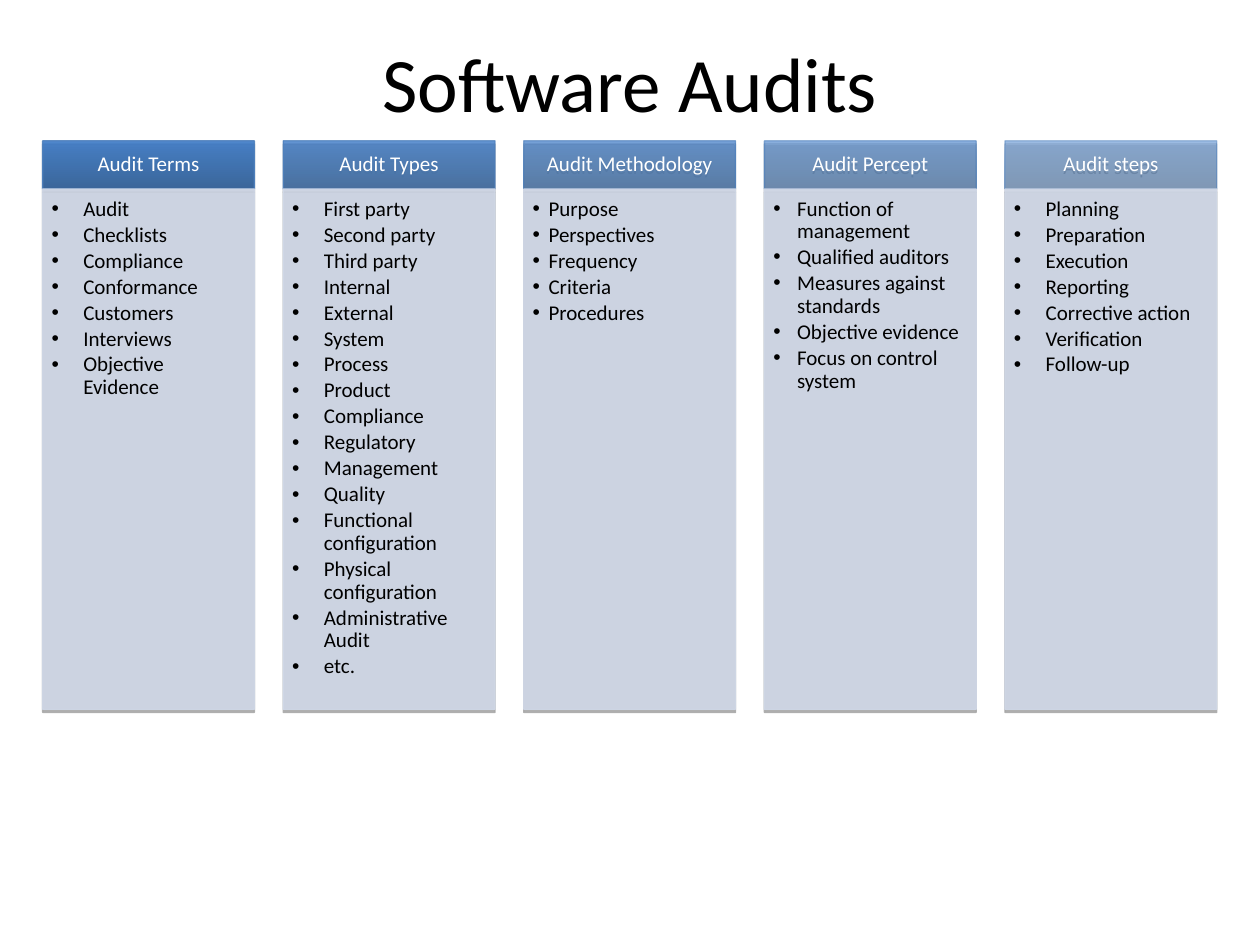
import dataclasses

import pptx
import pptx.dml.color
import pptx.enum.shapes
import pptx.enum.text
import pptx.oxml
import pptx.oxml.ns
import pptx.util
from pptx.util import Cm

RGB = pptx.dml.color.RGBColor
ANCHOR = pptx.enum.text.MSO_ANCHOR
ALIGN = pptx.enum.text.PP_ALIGN


@dataclasses.dataclass(frozen=True)
class Theme:
    font: str = "Calibri"
    title_size: int = 44
    text_size: int = 12
    text: RGB = RGB(0, 0, 0)
    header_text: RGB = RGB(255, 255, 255)
    header_top: RGB = RGB(0x3C, 0x7A, 0xC7)
    header_bottom: RGB = RGB(0x2E, 0x5F, 0x99)
    header_line: RGB = RGB(0x4F, 0x81, 0xBD)
    panel: RGB = RGB(0xD0, 0xD8, 0xE7)


THEME = Theme()

LEFT, TOP = 0.86, 2.84
COLUMN_WIDTH, COLUMN_PITCH = 4.27, 4.85
HEADER_HEIGHT, PANEL_HEIGHT = 0.97, 10.49

# Heading, hanging indent in cm, items
COLUMNS = [
    ("Audit Terms", 0.64, [
        "Audit", "Checklists", "Compliance", "Conformance", "Customers",
        "Interviews", "Objective Evidence"]),
    ("Audit Types", 0.64, [
        "First party", "Second party", "Third party", "Internal", "External",
        "System", "Process", "Product", "Compliance", "Regulatory",
        "Management", "Quality", "Functional configuration",
        "Physical configuration", "Administrative Audit", "etc."]),
    ("Audit Methodology", 0.32, [
        "Purpose", "Perspectives", "Frequency", "Criteria", "Procedures"]),
    ("Audit Percept", 0.48, [
        "Function of management", "Qualified auditors",
        "Measures against standards", "Objective evidence",
        "Focus on control system"]),
    ("Audit steps", 0.64, [
        "Planning", "Preparation", "Execution", "Reporting",
        "Corrective action", "Verification", "Follow-up"]),
]


def add_xml(parent, markup):
    namespace = pptx.oxml.ns.nsdecls("a")
    tag, rest = markup.split(" ", 1)
    parent.append(pptx.oxml.parse_xml(f"{tag} {namespace} {rest}"))


def set_font(paragraph, size, color):
    paragraph.font.name = THEME.font
    paragraph.font.size = pptx.util.Pt(size)
    paragraph.font.color.rgb = color


def set_opacity(shape, percent):
    """Make the fill and line colours of the shape partly transparent."""
    for color in shape.element.spPr.iter(pptx.oxml.ns.qn("a:srgbClr")):
        add_xml(color, f'<a:alpha val="{percent * 1000}"/>')


def add_drop_shadow(shape):
    shape.shadow.inherit = False
    effects = shape.element.spPr.find(pptx.oxml.ns.qn("a:effectLst"))
    add_xml(effects, '<a:outerShdw blurRad="0" dist="23000" dir="5400000" rotWithShape="0">'
                     '<a:srgbClr val="000000"><a:alpha val="35000"/></a:srgbClr>'
                     '</a:outerShdw>')


def add_box(slide, left, top, height, line_color, margins, anchor):
    box = slide.shapes.add_shape(
        pptx.enum.shapes.MSO_SHAPE.RECTANGLE,
        Cm(left), Cm(top), Cm(COLUMN_WIDTH), Cm(height))
    box.line.color.rgb = line_color
    box.line.width = pptx.util.Pt(0.75)
    frame = box.text_frame
    frame.word_wrap = True
    frame.vertical_anchor = anchor
    (frame.margin_left, frame.margin_top,
     frame.margin_right, frame.margin_bottom) = map(Cm, margins)
    return box


def add_header(slide, left, heading, opacity):
    header = add_box(slide, left, TOP, HEADER_HEIGHT, THEME.header_line,
                     (0.23, 0.13, 0.23, 0.13), ANCHOR.MIDDLE)
    header.fill.gradient()
    header.fill.gradient_angle = 270
    for stop, color in zip(header.fill.gradient_stops,
                           (THEME.header_top, THEME.header_bottom)):
        stop.color.rgb = color
    set_opacity(header, opacity)
    add_drop_shadow(header)

    label = header.text_frame.paragraphs[0]
    label.text = heading
    label.alignment = ALIGN.CENTER
    label.line_spacing = 0.9
    label.space_after = pptx.util.Pt(4.2)
    set_font(label, THEME.text_size, THEME.header_text)


def format_bullet(paragraph, indent):
    properties = paragraph._p.get_or_add_pPr()
    properties.set("marL", str(Cm(indent)))
    properties.set("indent", str(-Cm(indent)))
    add_xml(properties, f'<a:buClr ><a:srgbClr val="{THEME.text}"/></a:buClr>')
    add_xml(properties, '<a:buFont typeface="Arial"/>')
    add_xml(properties, '<a:buChar char="•"/>')


def add_panel(slide, left, items, indent):
    panel = add_box(slide, left, TOP + HEADER_HEIGHT, PANEL_HEIGHT, THEME.panel,
                    (0.18, 0.18, 0.23, 0.28), ANCHOR.TOP)
    panel.fill.solid()
    panel.fill.fore_color.rgb = THEME.panel
    set_opacity(panel, 90)
    add_drop_shadow(panel)

    panel.text_frame.text = "\n".join(items)
    for item in panel.text_frame.paragraphs:
        item.level = 1
        item.alignment = ALIGN.LEFT
        format_bullet(item, indent)
        item.line_spacing = 0.9
        item.space_after = pptx.util.Pt(1.9)
        set_font(item, THEME.text_size, THEME.text)


def add_title(slide, text):
    title = slide.shapes.title
    title.left, title.top, title.width, title.height = map(
        Cm, (1.27, 0.76, 22.86, 1.78))
    title.text_frame.text = text
    title.text_frame.vertical_anchor = ANCHOR.MIDDLE
    heading = title.text_frame.paragraphs[0]
    heading.alignment = ALIGN.CENTER
    set_font(heading, THEME.title_size, THEME.text)


def main():
    deck = pptx.Presentation()
    deck.slide_width, deck.slide_height = Cm(25.4), Cm(19.05)
    title_only = deck.slide_layouts.get_by_name("Title Only")
    slide = deck.slides.add_slide(title_only)

    add_title(slide, "Software Audits")
    for index, (heading, indent, items) in enumerate(COLUMNS):
        left = LEFT + index * COLUMN_PITCH
        add_header(slide, left, heading, opacity=90 - 10 * index)
        add_panel(slide, left, items, indent)

    deck.save("out.pptx")


if __name__ == "__main__":
    main()
